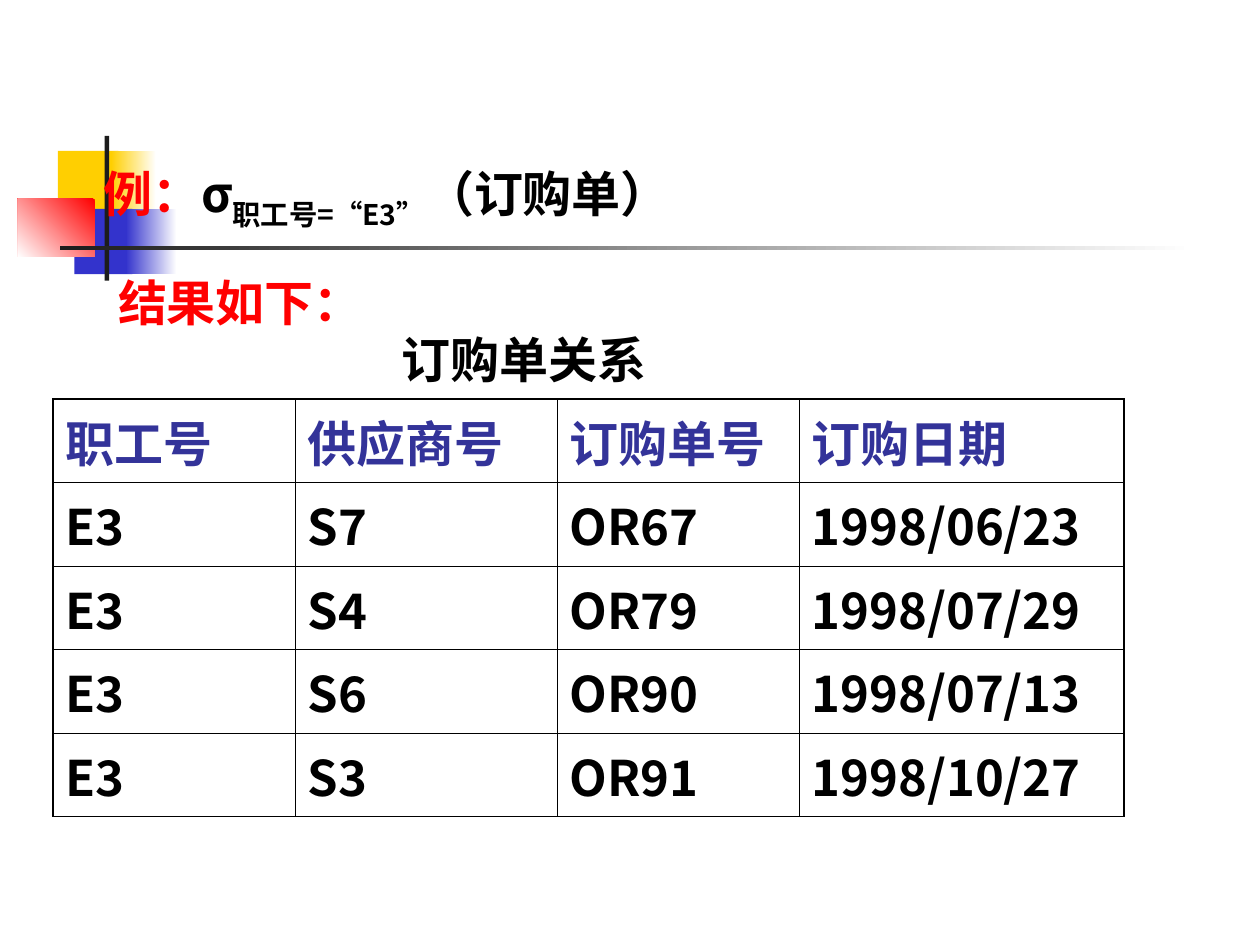
from lxml.etree import SubElement
from pptx import Presentation
from pptx.dml.color import RGBColor
from pptx.enum.shapes import MSO_SHAPE as Preset
from pptx.enum.text import MSO_AUTO_SIZE as AutoSize
from pptx.oxml import parse_xml
from pptx.oxml.ns import nsdecls, qn
from pptx.util import Cm, Pt

BLACK = RGBColor(0x00, 0x00, 0x00)
WHITE = RGBColor(0xFF, 0xFF, 0xFF)
RED = RGBColor(0xFF, 0x00, 0x00)
YELLOW = RGBColor(0xFF, 0xCF, 0x01)
BLUE = RGBColor(0x33, 0x33, 0xCC)
CHARCOAL = RGBColor(0x1C, 0x1C, 0x1C)
HEADER_BLUE = RGBColor(0x33, 0x33, 0x99)

SANS = "Noto Sans CJK SC"
SERIF = "Times New Roman"

ORDERS = [
    ["职工号", "供应商号", "订购单号", "订购日期"],
    ["E3", "S7", "OR67", "1998/06/23"],
    ["E3", "S4", "OR79", "1998/07/29"],
    ["E3", "S6", "OR90", "1998/07/13"],
    ["E3", "S3", "OR91", "1998/10/27"],
]
COLUMN_WIDTHS = [4.88, 5.28, 4.88, 6.55]
ROW_HEIGHT = 1.44
OUTER, INNER = 1.08, 0.45  # border widths in points


def write(paragraph, text, color=BLACK, font=SANS, size=28, baseline=0):
    """Add one bold run to the paragraph."""
    run = paragraph.add_run()
    run.text = text
    run.font.size = Pt(size)
    run.font.bold = True
    run.font.color.rgb = color
    run.font.name = font
    properties = run.font._element
    SubElement(properties, qn("a:ea"), typeface=SANS)
    if baseline:
        properties.set("baseline", str(baseline * 1000))


def add_line(slide, left, top, width, height):
    """Add a one-line text box and return its paragraph."""
    box = slide.shapes.add_textbox(Cm(left), Cm(top), Cm(width), Cm(height))
    box.text_frame.word_wrap = False
    box.text_frame.auto_size = AutoSize.SHAPE_TO_FIT_TEXT
    return box.text_frame.paragraphs[0]


def add_ornament(slide, left, top):
    """Coloured squares with a crossing bar and rule."""
    # x, y, width, height, start colour, end colour, angle
    parts = [
        (0.81, 0.3, 1.22, 1.32, YELLOW, None, 0),
        (1.88, 0.3, 0.91, 1.32, WHITE, YELLOW, 180),
        (1.14, 1.47, 1.17, 1.32, BLUE, None, 0),
        (2.18, 1.47, 1.02, 1.32, WHITE, BLUE, 180),
        (0, 1.27, 1.55, 1.17, RED, WHITE, 225),
        (1.75, 0, 0.09, 2.92, CHARCOAL, None, 0),
        (0.86, 2.21, 22.86, 0.09, WHITE, CHARCOAL, 180),
    ]
    for x, y, width, height, start, end, angle in parts:
        block = slide.shapes.add_shape(
            Preset.RECTANGLE, Cm(left + x), Cm(top + y), Cm(width), Cm(height))
        block.shadow.inherit = False
        block.line.fill.background()
        if end is None:
            block.fill.solid()
            block.fill.fore_color.rgb = start
        else:
            block.fill.gradient()
            block.fill.gradient_angle = angle
            for stop, color in zip(block.fill.gradient_stops, (start, end)):
                stop.color.rgb = color


def set_borders(cell, widths):
    """Draw black borders; widths are for left, right, top and bottom."""
    properties = cell._tc.get_or_add_tcPr()
    for index, (side, width) in enumerate(zip("LRTB", widths)):
        properties.insert(index, parse_xml(
            f'<a:ln{side} {nsdecls("a")} w="{Pt(width)}"><a:solidFill>'
            f'<a:srgbClr val="{BLACK}"/></a:solidFill></a:ln{side}>'))


def add_orders(slide, left, top):
    """Table of the selected orders, with a heavier outer border."""
    last_row, last_column = len(ORDERS) - 1, len(COLUMN_WIDTHS) - 1
    table = slide.shapes.add_table(
        len(ORDERS), len(COLUMN_WIDTHS), Cm(left), Cm(top),
        Cm(sum(COLUMN_WIDTHS)), Cm(ROW_HEIGHT * len(ORDERS))).table
    table.first_row = table.horz_banding = False
    for column, width in zip(table.columns, COLUMN_WIDTHS):
        column.width = Cm(width)
    for r, order in enumerate(ORDERS):
        table.rows[r].height = Cm(ROW_HEIGHT)
        for c, value in enumerate(order):
            cell = table.cell(r, c)
            cell.fill.background()
            edges = (c == 0, c == last_column, r == 0, r == last_row)
            set_borders(cell, [OUTER if edge else INNER for edge in edges])
            paragraph = cell.text_frame.paragraphs[0]
            paragraph.space_before = Pt(7)
            write(paragraph, value, color=BLACK if r else HEADER_BLUE)


def add_headings(slide, left, top):
    """Selection expression, result label and table caption."""
    caption = add_line(slide, left + 6.02, top + 3.33, 5.44, 1.45)
    write(caption, "订购单关系", font=SERIF)

    expression = add_line(slide, left, top, 13.74, 1.6)
    write(expression, "例：", color=RED)
    write(expression, "σ")
    write(expression, "职工号=“E3”", baseline=-25)
    write(expression, "（订购单）")

    result = add_line(slide, left + 0.3, top + 2.18, 5.44, 1.45)
    write(result, "结果如下：", color=RED, font=SERIF)


def main():
    deck = Presentation()
    deck.slide_width, deck.slide_height = Cm(25.4), Cm(19.05)
    slide = deck.slides.add_slide(deck.slide_layouts[6])
    add_ornament(slide, 0.36, 2.74)
    add_orders(slide, 1.07, 8.05)
    add_headings(slide, 1.83, 3.18)
    deck.save("out.pptx")


if __name__ == "__main__":
    main()
